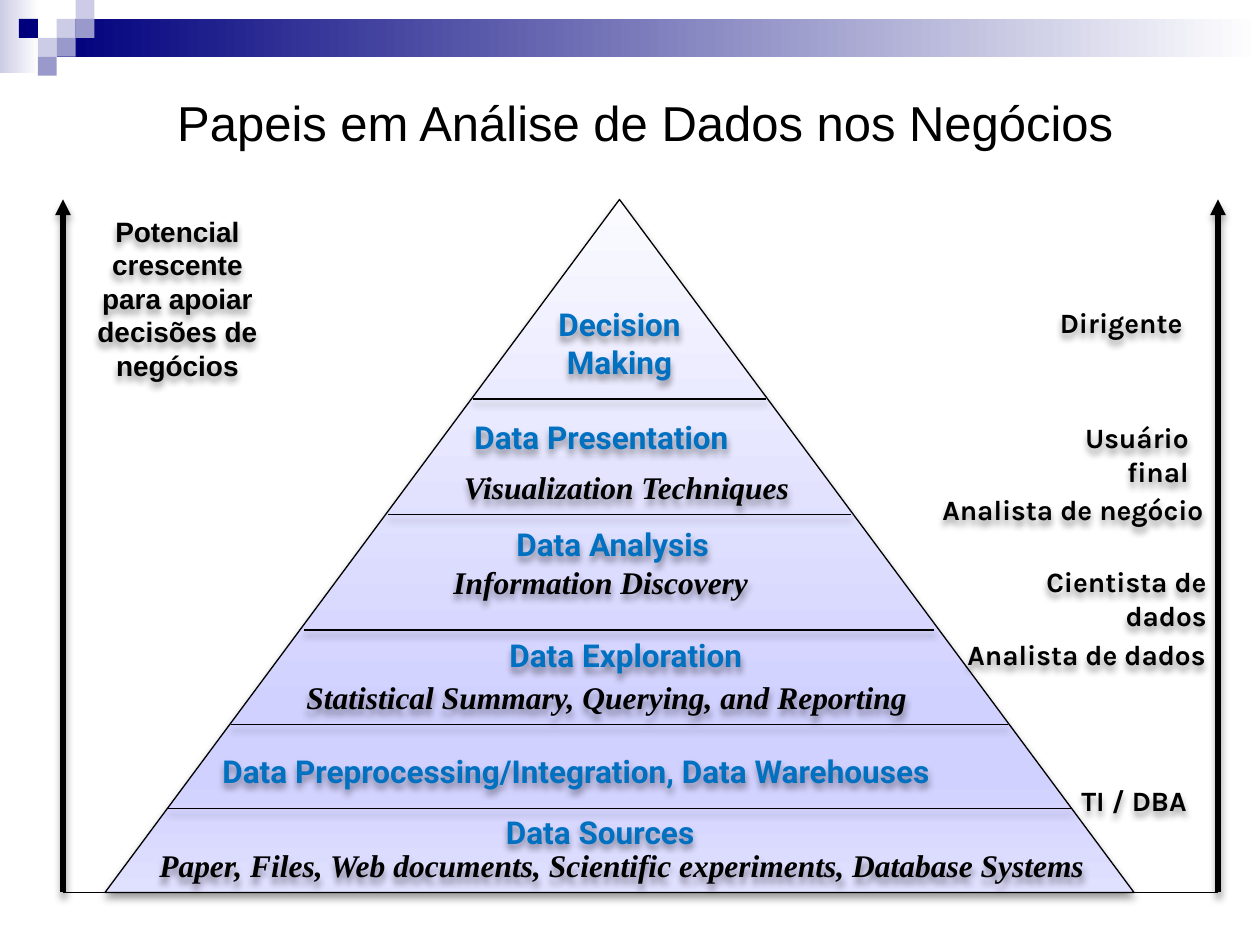
from typing import NamedTuple

from lxml.etree import SubElement as Sub
from pptx import Presentation
from pptx.dml.color import RGBColor
from pptx.enum.shapes import MSO_CONNECTOR as Conn, MSO_SHAPE as Geo
from pptx.enum.text import MSO_ANCHOR as Anchor, MSO_AUTO_SIZE as Auto, PP_ALIGN as Align
from pptx.oxml.ns import qn
from pptx.util import Inches, Pt

COLS, ROWS = 120, 90
WIDE, HIGH = Inches(10), Inches(7.5)
TILE = 1.8
LEFT, RIGHT, TOP, BASE = 6, 116, 19, 85


class Box(NamedTuple):
    x: float
    y: float
    w: float
    h: float


class Style(NamedTuple):
    font: str
    size: int
    hue: str = "000000"
    bold: bool = True
    italic: bool = False


class Label(NamedTuple):
    text: str
    box: Box
    style: Style
    align: Align = Align.LEFT
    wrap: bool = False


class Rule(NamedTuple):
    x1: float
    y1: float
    x2: float
    y2: float
    width: float = 0.75
    arrow: bool = False


class Tile(NamedTuple):
    col: int
    row: int
    hue: str


TITLE = Style("Arial", 28, bold=False)
NOTE = Style("Arial", 16)
ROLE = Style("Karla", 16)
HEAD = Style("Roboto", 18, "0070C0")
SUB = Style("Times New Roman", 18, italic=True)

PALE, MID, NAVY = "CCCCE6", "9999CC", "00007D"
TILES = [
    Tile(3, 1, PALE), Tile(4, 0, PALE), Tile(4, 1, MID), Tile(2, 2, PALE),
    Tile(1, 1, NAVY), Tile(3, 2, MID), Tile(2, 3, MID),
]

RULES = [
    Rule(16, 77, 102, 77),
    Rule(22, 69, 96, 69),
    Rule(29, 60, 89, 60),
    Rule(37, 49, 81, 49),
    Rule(45, 38, 73, 38),
    Rule(LEFT, BASE, LEFT, TOP, 3, True),
    Rule(RIGHT, BASE, RIGHT, TOP, 3, True),
    Rule(LEFT, BASE, RIGHT, BASE),
]

LABELS = [
    Label("Potencial crescente para apoiar decisões de negócios",
          Box(7.8, 19.8, 18.2, 17.4), NOTE, Align.CENTER, True),
    Label("Dirigente", Box(99.7, 28.5, 14.1, 4.4), ROLE, Align.RIGHT),
    Label("Usuário final", Box(96.4, 39.5, 18, 4.4), ROLE, Align.RIGHT, True),
    Label("Analista de negócio", Box(88, 46.3, 27.8, 4.4), ROLE, Align.RIGHT),
    Label("Cientista de dados", Box(95.7, 53.2, 20.4, 4.4), ROLE, Align.RIGHT, True),
    Label("Analista de dados", Box(86.8, 60.1, 29.2, 4.4), ROLE, Align.RIGHT, True),
    Label("TI / DBA", Box(101.4, 74, 12.8, 4.4), ROLE, Align.RIGHT),
    Label("Decision Making", Box(51, 28.5, 16, 8.4), HEAD, Align.CENTER, True),
    Label("Data Presentation", Box(44, 39.2, 29.6, 4.8), HEAD),
    Label("Visualization Techniques", Box(43, 44, 33.8, 4.8), SUB),
    Label("Data Analysis", Box(48, 49.4, 23.4, 4.8), HEAD, wrap=True),
    Label("Information Discovery", Box(42, 53, 30.5, 4.8), SUB),
    Label("Data Exploration", Box(44.2, 60, 30.8, 4.8), HEAD, Align.CENTER, True),
    Label("Statistical Summary, Querying, and Reporting",
          Box(28, 64, 60, 4.8), SUB, wrap=True),
    Label("Data Preprocessing/Integration, Data Warehouses",
          Box(20, 71, 79.1, 4.8), HEAD),
    Label("Data Sources", Box(47, 76.8, 22.4, 4.8), HEAD),
    Label("Paper, Files, Web documents, Scientific experiments, Database Systems",
          Box(14, 80, 93.4, 4.8), SUB, wrap=True),
]


def tint(hue: str) -> RGBColor:
    """Turn a hex string into a colour."""
    return RGBColor.from_string(hue)


def spot(x: float, y: float) -> tuple[int, int]:
    """Turn grid columns and rows into slide lengths."""
    return round(WIDE * x / COLS), round(HIGH * y / ROWS)


def place(box: Box) -> tuple[int, ...]:
    """Give left, top, width and height of a grid box."""
    return spot(box.x, box.y) + spot(box.w, box.h)


def shade(item) -> None:
    """Cast a soft shadow straight down."""
    props = item._element.spPr
    for old in props.findall(qn("a:effectLst")):
        props.remove(old)
    cast = Sub(Sub(props, qn("a:effectLst")), qn("a:outerShdw"),
               blurRad=str(Pt(4)), dist=str(Pt(3)), dir="5400000", rotWithShape="0")
    black = Sub(cast, qn("a:srgbClr"), val="000000")
    Sub(black, qn("a:alpha"), val="40000")


def blend(shape, stops: dict[int, str], angle: int = 0) -> None:
    """Fill a shape with a linear gradient."""
    shape.fill.gradient()
    shape.fill.gradient_angle = angle
    stack = shape._element.spPr.find(".//" + qn("a:gsLst"))
    stack.clear()
    for share, hue in stops.items():
        stop = Sub(stack, qn("a:gs"), pos=str(share * 1000))
        Sub(stop, qn("a:srgbClr"), val=hue)


def block(slide, box: Box, kind: Geo = Geo.RECTANGLE):
    """Add a plain shape with no line or shadow."""
    shape = slide.shapes.add_shape(kind, *place(box))
    shape.shadow.inherit = False
    shape.line.fill.background()
    return shape


def write(slide, label: Label):
    """Add one styled text box."""
    item = slide.shapes.add_textbox(*place(label.box))
    frame, style = item.text_frame, label.style
    frame.text = label.text
    frame.word_wrap = label.wrap
    frame.auto_size = Auto.SHAPE_TO_FIT_TEXT
    para = frame.paragraphs[0]
    para.alignment = label.align
    font = para.runs[0].font
    font.name, font.size = style.font, Pt(style.size)
    font.bold, font.italic = style.bold, style.italic
    font.color.rgb = tint(style.hue)
    return item


def draw(slide, rule: Rule) -> None:
    """Add one straight line, with an arrowhead if asked."""
    line = slide.shapes.add_connector(
        Conn.STRAIGHT, *spot(rule.x1, rule.y1), *spot(rule.x2, rule.y2))
    line.line.color.rgb = tint("000000")
    line.line.width = Pt(rule.width)
    if rule.arrow:
        Sub(line.line._get_or_add_ln(), qn("a:tailEnd"), type="triangle")
    shade(line)


def banner(slide) -> None:
    """Draw the fading bar and its mosaic of tiles."""
    blend(block(slide, Box(0, 0, 3.7, 7)), {0: PALE, 100: "FFFFFF"})
    bar = Box(3 * TILE, TILE, COLS - 3 * TILE, 2 * TILE)
    blend(block(slide, bar), {0: NAVY, 100: "FFFFFF"})
    for tile in TILES:
        shape = block(slide, Box(tile.col * TILE, tile.row * TILE, TILE, TILE))
        shape.fill.solid()
        shape.fill.fore_color.rgb = tint(tile.hue)


def main() -> None:
    """Build and save the slide."""
    deck = Presentation()
    deck.slide_width, deck.slide_height = WIDE, HIGH
    slide = deck.slides.add_slide(deck.slide_layouts[6])
    banner(slide)
    title = write(slide, Label("Papeis em Análise de Dados nos Negócios",
                               Box(15.7, 6, 104.3, 11.2), TITLE, wrap=True))
    title.text_frame.auto_size = Auto.NONE
    title.text_frame.vertical_anchor = Anchor.MIDDLE
    cone = block(slide, Box(10, TOP, 98, BASE - TOP), Geo.FLOWCHART_EXTRACT)
    blend(cone, {0: "FAFAFF", 74: "D1D1FF", 83: "D1D1FF", 100: "E0E0FF"}, 270)
    cone.line.color.rgb = tint("000000")
    cone.line.width = Pt(0.75)
    shade(cone)
    for rule in RULES:
        draw(slide, rule)
    for label in LABELS:
        shade(write(slide, label))
    deck.save("out.pptx")


if __name__ == "__main__":
    main()
